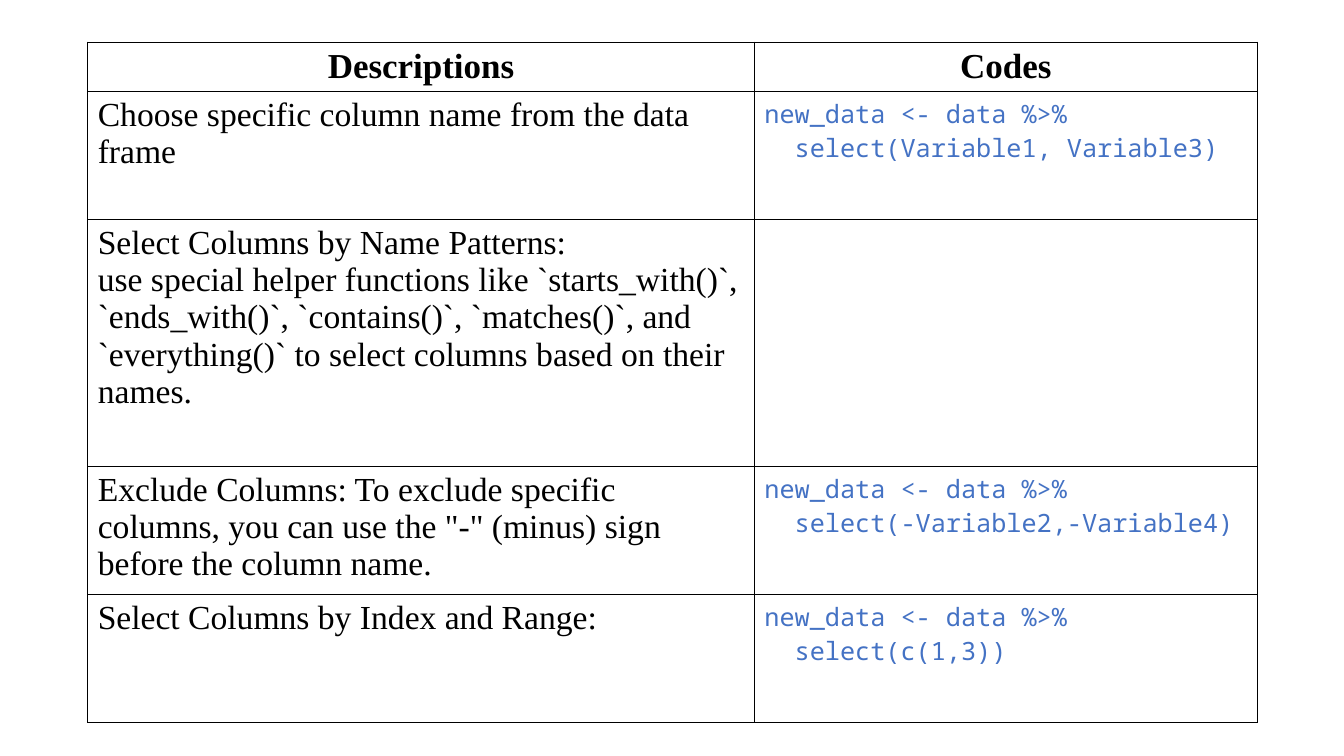
from dataclasses import dataclass

from lxml.etree import SubElement
from pptx import Presentation
from pptx.dml.color import RGBColor
from pptx.enum.text import PP_ALIGN
from pptx.oxml.ns import qn
from pptx.util import Inches, Pt


@dataclass(frozen=True)
class TextStyle:
    font: str
    size: float
    color: str
    bold: bool = False
    centered: bool = False


@dataclass(frozen=True)
class Theme:
    header: TextStyle = TextStyle("Times New Roman", 25, "000000", True, True)
    description: TextStyle = TextStyle("Times New Roman", 24, "000000")
    code: TextStyle = TextStyle("Noto Sans Mono", 18, "4472C4")
    cell_fill: str = "FFFFFF"
    border: str = "000000"
    border_width: float = 1
    code_indent: float = 0.3


THEME = Theme()
SLIDE_SIZE = (13.33, 7.5)
TABLE_BOX = (0.87, 0.42, 11.6, 6.75)
COLUMN_SHARES = (0.57, 0.43)
ROW_HEIGHTS = (0.49, 1.27, 2.45, 1.27, 1.27)
HEADINGS = ("Descriptions", "Codes")
PIPE_START = "new_data <- data %>%"

# Each row: description paragraphs, then the verb piped to (None for no code)
ROWS = (
    (["Choose specific column name from the data frame"],
     "select(Variable1, Variable3)"),
    (["Select Columns by Name Patterns:",
      "use special helper functions like `starts_with()`, `ends_with()`, "
      "`contains()`, `matches()`, and `everything()` to select columns "
      "based on their names."],
     None),
    (['Exclude Columns: To exclude specific columns, you can use the "-" '
      "(minus) sign before the column name."],
     "select(-Variable2,-Variable4)"),
    (["Select Columns by Index and Range:"],
     "select(c(1,3))"),
)


def format_cell(cell):
    """Give the cell a thin border on all sides and a plain fill."""
    properties = cell._tc.get_or_add_tcPr()
    for side in ("lnL", "lnR", "lnT", "lnB"):
        line = SubElement(properties, qn(f"a:{side}"), w=str(Pt(THEME.border_width)))
        fill = SubElement(line, qn("a:solidFill"))
        SubElement(fill, qn("a:srgbClr"), val=THEME.border)
    cell.fill.solid()
    cell.fill.fore_color.rgb = RGBColor.from_string(THEME.cell_fill)


def write_cell(cell, lines, style):
    cell.text_frame.text = "\n".join(lines)
    for paragraph in cell.text_frame.paragraphs:
        paragraph.alignment = PP_ALIGN.CENTER if style.centered else PP_ALIGN.LEFT
        for run in paragraph.runs:
            run.font.name = style.font
            run.font.size = Pt(style.size)
            run.font.bold = style.bold
            run.font.color.rgb = RGBColor.from_string(style.color)


def write_code(cell, verb):
    """Write the pipe start with the verb indented on the line below."""
    write_cell(cell, [PIPE_START, verb], THEME.code)
    verb_properties = cell.text_frame.paragraphs[1]._p.get_or_add_pPr()
    verb_properties.set("marL", str(Inches(THEME.code_indent)))


def add_code_table(slide, box):
    left, top, width, height = box
    frame = slide.shapes.add_table(
        len(ROWS) + 1, len(HEADINGS), *(Inches(length) for length in box))
    table = frame.table
    table.first_row = table.horz_banding = False
    for column, share in zip(table.columns, COLUMN_SHARES):
        column.width = Inches(width * share)
    for row, row_height in zip(table.rows, ROW_HEIGHTS):
        row.height = Inches(height * row_height / sum(ROW_HEIGHTS))
    for cell in table.iter_cells():
        format_cell(cell)

    for column_index, heading in enumerate(HEADINGS):
        write_cell(table.cell(0, column_index), [heading], THEME.header)
    for row_index, (description, verb) in enumerate(ROWS, start=1):
        write_cell(table.cell(row_index, 0), description, THEME.description)
        if verb:
            write_code(table.cell(row_index, 1), verb)


def main():
    presentation = Presentation()
    presentation.slide_width, presentation.slide_height = map(Inches, SLIDE_SIZE)
    slide = presentation.slides.add_slide(presentation.slide_layouts[6])
    add_code_table(slide, TABLE_BOX)
    presentation.save("out.pptx")


if __name__ == "__main__":
    main()
